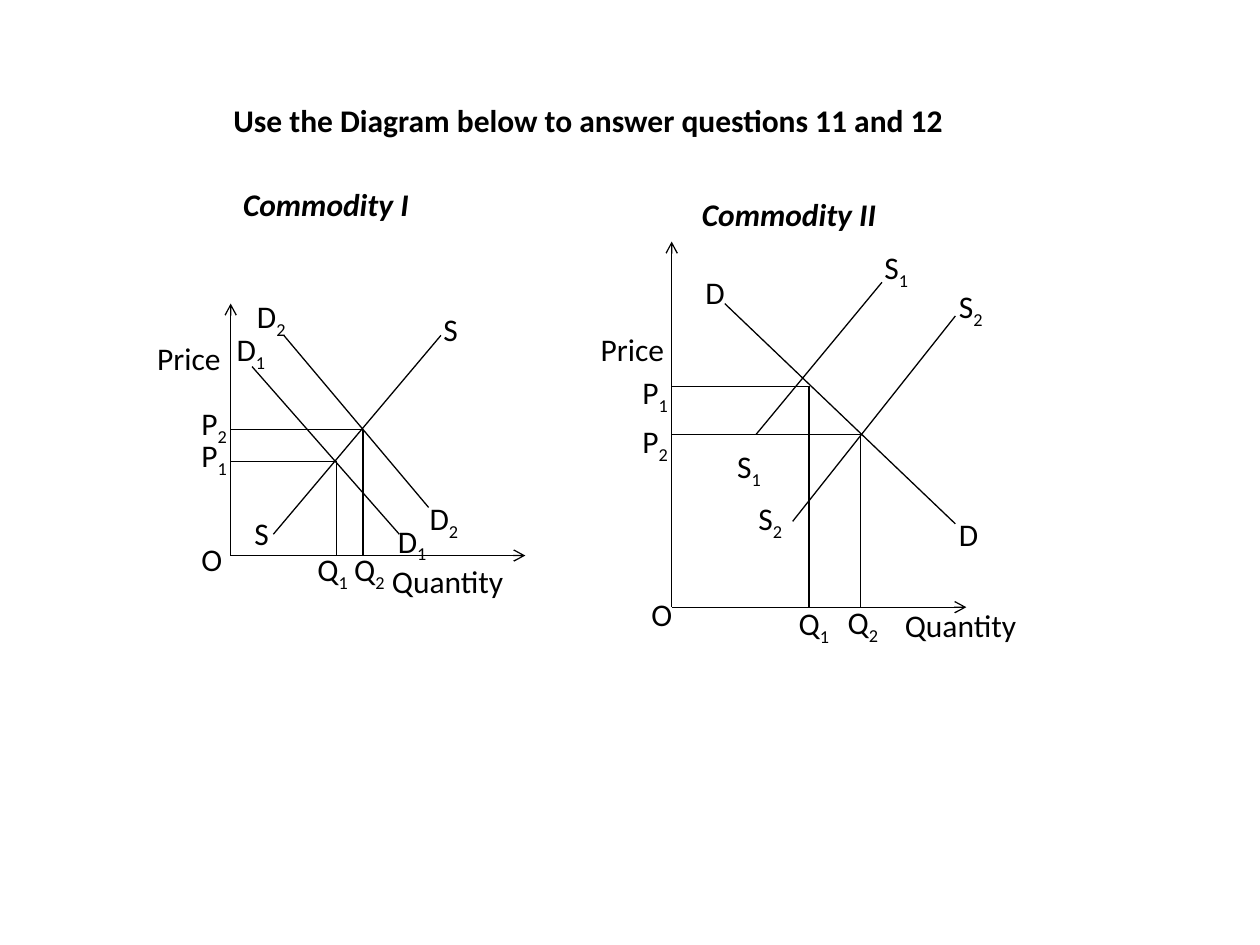
from lxml import etree
from pptx import Presentation
from pptx.dml.color import RGBColor
from pptx.enum.shapes import MSO_CONNECTOR
from pptx.enum.text import MSO_ANCHOR, MSO_AUTO_SIZE, PP_ALIGN
from pptx.oxml.ns import qn
from pptx.util import Cm, Pt

LINE = MSO_CONNECTOR.STRAIGHT
LEFT = PP_ALIGN.LEFT
TOP = MSO_ANCHOR.TOP
GROW = MSO_AUTO_SIZE.SHAPE_TO_FIT_TEXT

COLORS = {"ink": "000000"}
INK = RGBColor.from_string(COLORS["ink"])
PLAIN = {"name": "Calibri", "size": Pt(18)}
BOLD = {**PLAIN, "bold": True}
HEAD = {**BOLD, "italic": True}

HIGH = 1.02
WIDTHS = {"S": 0.81, "S1": 1.02, "D": 0.91, "D1": 1.12, "D2": 1.12, "S2": 1.02,
          "P1": 1.07, "P2": 1.07, "Q1": 1.17, "Q2": 1.17, "O": 0.94,
          "Price": 1.96, "Quantity": 2.95, "Commodity I": 3.89, "Commodity II": 4.06}

# Points are centimetres right of and above the origin of the axes.
# Each curve: name, upper end, lower end, upper label, lower label.
GRAPHS = [
    {"box": (4.65, 6.12, 5.94, 5.08),
     "head": ("Commodity I", (0, 7.59)),
     "meets": [(2.13, 1.9), (2.67, 2.54)],
     "curves": [("S", (4.24, 4.44), (0.86, 0.43), (4.04, 5.08), (0.23, 0.97)),
                ("D1", (0.43, 3.81), (3.4, 0.43), (-0.13, 4.67), (3.12, 0.81)),
                ("D2", (1.07, 4.44), (3.99, 0.97), (0.28, 5.33), (3.76, 1.27))],
     "labels": {"P1": (-0.84, 2.54), "P2": (-0.84, 3.18),
                "Q1": (1.5, 0.23), "Q2": (2.24, 0.23), "O": (-0.84, 0.43),
                "Price": (-1.73, 4.5), "Quantity": (3, 0)}},
    {"box": (13.54, 4.87, 5.94, 7.37),
     "head": ("Commodity II", (0.36, 8.43)),
     "meets": [(2.77, 4.45), (3.81, 3.48)],
     "curves": [("S1", (4.24, 6.55), (1.7, 3.48), (4.04, 7.37), (1.07, 3.35)),
                ("S2", (5.72, 5.87), (2.44, 1.73), (5.54, 6.58), (1.5, 2.31)),
                ("D", (1.07, 6.12), (5.72, 1.68), (0.43, 6.86), (5.54, 1.98))],
     "labels": {"P1": (-0.84, 4.85), "P2": (-0.84, 3.86),
                "Q1": (2.31, 0.18), "Q2": (3.3, 0.2), "O": (-0.66, 0.36),
                "Price": (-1.68, 5.72), "Quantity": (4.45, 0.15)}},
]


def write(para, text, style):
    """Add text as one run in the given style."""
    run = para.add_run()
    run.text = text
    run.font.color.rgb = INK
    for key, value in style.items():
        setattr(run.font, key, value)
    return run


def add_label(slide, name, x, y, style=PLAIN):
    """Place a name, with any closing digit lowered."""
    box = slide.shapes.add_textbox(Cm(x), Cm(y), Cm(WIDTHS[name]), Cm(HIGH))
    frame = box.text_frame
    frame.word_wrap = False
    frame.auto_size = GROW
    para = frame.paragraphs[0]
    stem = name.rstrip("12")
    write(para, stem, style)
    if stem != name:
        sub = write(para, name[len(stem):], style)
        sub._r.get_or_add_rPr().set("baseline", "-25000")


def add_line(slide, start, end, arrow=False):
    ends = [Cm(v) for v in (*start, *end)]
    line = slide.shapes.add_connector(LINE, *ends)
    line.line.color.rgb = INK
    line.line.width = Pt(0.75)
    props = line._element.spPr
    if arrow:
        etree.SubElement(props.find(qn("a:ln")), qn("a:tailEnd"), type="arrow")
    etree.SubElement(props, qn("a:effectLst"))


def add_graph(slide, box, head, meets, curves, labels):
    """Draw one market diagram with its axes filling the box."""
    left, top, width, height = box

    def spot(point):
        return left + point[0], top + height - point[1]

    zero = spot((0, 0))
    for tip in ((0, height), (width, 0)):
        add_line(slide, zero, spot(tip), arrow=True)
    for x, y in meets:
        add_line(slide, spot((0, y)), spot((x, y)))
        add_line(slide, spot((x, y)), spot((x, 0)))
    for name, start, end, *tags in curves:
        add_line(slide, spot(start), spot(end))
        for tag in tags:
            add_label(slide, name, *spot(tag))
    for name, point in labels.items():
        add_label(slide, name, *spot(point))
    name, point = head
    add_label(slide, name, *spot(point), HEAD)


def add_title(slide, text, box):
    title = slide.shapes.title
    title.left, title.top, title.width, title.height = map(Cm, box)
    frame = title.text_frame
    frame.word_wrap = False
    frame.auto_size = GROW
    frame.vertical_anchor = TOP
    para = frame.paragraphs[0]
    para.alignment = LEFT
    write(para, text, BOLD)


def main():
    deck = Presentation()
    deck.slide_width, deck.slide_height = Cm(25.4), Cm(19.05)
    slide = deck.slides.add_slide(deck.slide_layouts[5])
    add_title(slide, "Use the Diagram below to answer questions 11 and 12",
              (4.45, 1.91, 15.09, HIGH))
    for graph in GRAPHS:
        add_graph(slide, **graph)
    deck.save("out.pptx")


if __name__ == "__main__":
    main()
